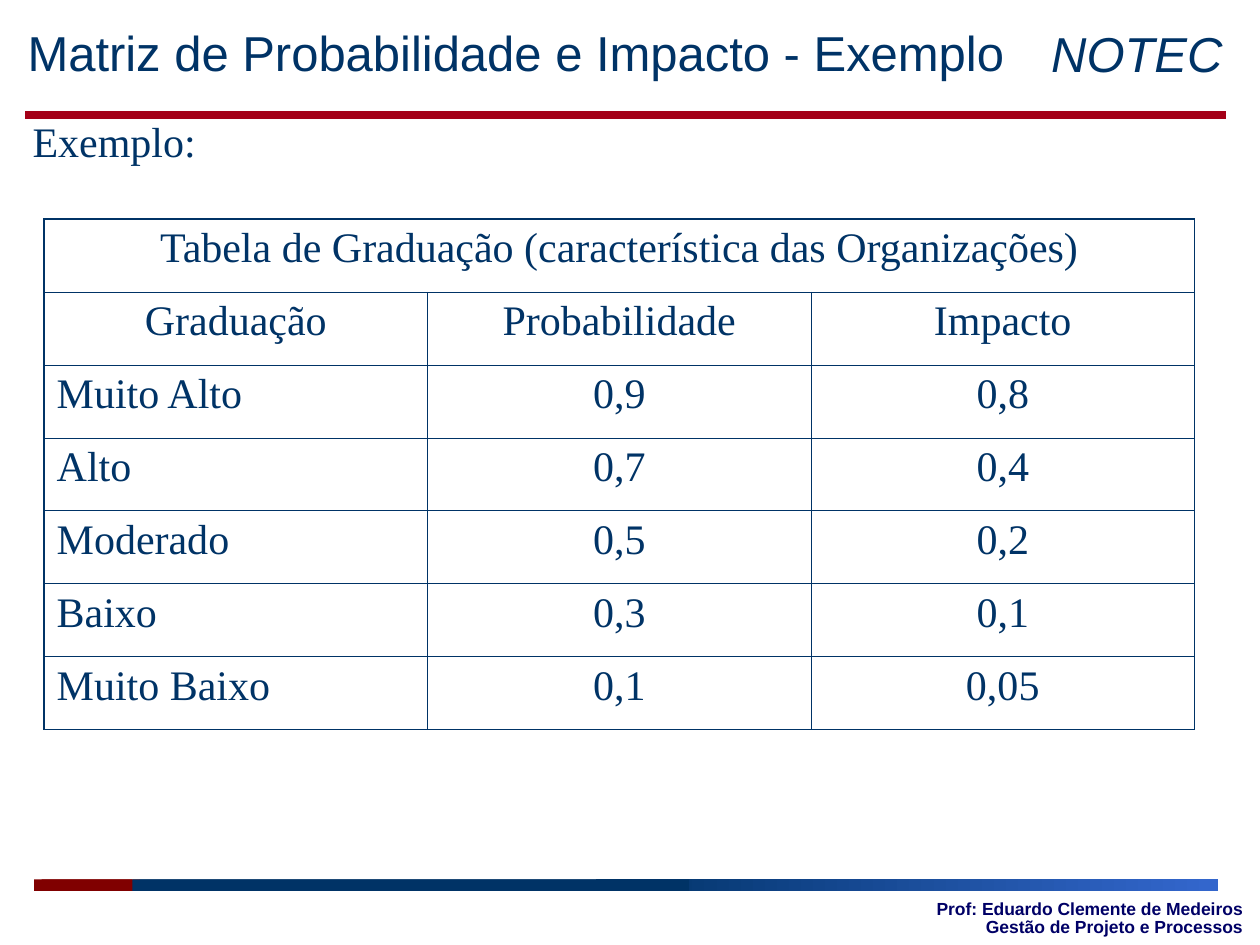
"""Build the probability and impact matrix slide."""
from dataclasses import dataclass

import lxml.etree
import pptx
import pptx.dml.color
import pptx.enum.shapes
import pptx.enum.text
import pptx.oxml.ns
import pptx.util

Inches = pptx.util.Inches
Pt = pptx.util.Pt
Align = pptx.enum.text.PP_ALIGN
Anchor = pptx.enum.text.MSO_ANCHOR
AutoSize = pptx.enum.text.MSO_AUTO_SIZE

COLOURS = {
    "navy": "003366",
    "blue": "3366CC",
    "maroon": "800000",
    "crimson": "A40018",
    "indigo": "000066",
}
SERIF = "Times New Roman"
SANS = "Arial"
OUTER_BORDER = 1.08
INNER_BORDER = 0.45
GRADES = [
    ("Tabela de Graduação (característica das Organizações)", "", ""),
    ("Graduação", "Probabilidade", "Impacto"),
    ("Muito Alto", "0,9", "0,8"),
    ("Alto", "0,7", "0,4"),
    ("Moderado", "0,5", "0,2"),
    ("Baixo", "0,3", "0,1"),
    ("Muito Baixo", "0,1", "0,05"),
]


@dataclass
class Style:
    size: float
    font: str = SANS
    colour: str = "navy"
    bold: bool = False
    italic: bool = False
    align: Align = Align.LEFT
    line_spacing: float = 1.0
    before: float = 0
    after: float = 0


@dataclass
class Label:
    text: str
    left: float
    top: float
    width: float
    height: float
    style: Style
    anchor: Anchor = Anchor.TOP
    autosize: AutoSize = AutoSize.SHAPE_TO_FIT_TEXT


@dataclass
class Bar:
    offset: float
    width: float
    colour: str
    end_colour: str = ""


LABELS = [
    Label("NOTEC", 7.91, 0.21, 1.89, 0.5,
          Style(28, italic=True, align=Align.RIGHT, line_spacing=0.85, before=17.5)),
    Label("Prof: Eduardo Clemente de Medeiros Gestão de Projeto e Processos",
          7.05, 7.14, 2.91, 0.31,
          Style(10, colour="indigo", bold=True, align=Align.RIGHT, line_spacing=0.85),
          Anchor.MIDDLE, AutoSize.NONE),
    Label("Exemplo:", 0.16, 0.91, 9.65, 0.46,
          Style(24, SERIF, align=Align.JUSTIFY, line_spacing=0.9, before=6, after=3)),
    Label("Matriz de Probabilidade e Impacto - Exemplo", 0.12, 0.13, 8.19, 0.57,
          Style(28, before=17.5)),
]
FOOTER_BARS = [
    Bar(0, 0.78, "maroon"),
    Bar(4.46, 4.88, "navy", "blue"),
    Bar(0.78, 4.42, "navy"),
]
FOOTER_LEFTS = (0.33, 0.27)


def rgb(name: str) -> pptx.dml.color.RGBColor:
    """Return the named colour."""
    return pptx.dml.color.RGBColor.from_string(COLOURS[name])


def write(frame, text: str, style: Style) -> None:
    """Put one styled paragraph in a text frame."""
    frame.text = text
    para = frame.paragraphs[0]
    para.alignment = style.align
    para.line_spacing = style.line_spacing
    para.space_before = Pt(style.before)
    para.space_after = Pt(style.after)
    for span in para.runs:
        span.font.size = Pt(style.size)
        span.font.name = style.font
        span.font.bold = style.bold
        span.font.italic = style.italic
        span.font.color.rgb = rgb(style.colour)


def draw_label(page, label: Label) -> None:
    """Draw a text box."""
    box = page.shapes.add_textbox(Inches(label.left), Inches(label.top),
                                  Inches(label.width), Inches(label.height))
    frame = box.text_frame
    frame.word_wrap = True
    frame.auto_size = label.autosize
    frame.vertical_anchor = label.anchor
    write(frame, label.text, label.style)


def draw_bar(page, bar: Bar, left: float) -> None:
    """Draw one segment of the footer strip."""
    shape = page.shapes.add_shape(pptx.enum.shapes.MSO_SHAPE.RECTANGLE,
                                  Inches(left + bar.offset), Inches(6.98),
                                  Inches(bar.width), Inches(0.09))
    shape.shadow.inherit = False
    shape.line.fill.background()
    if bar.end_colour:
        shape.fill.gradient()
        shape.fill.gradient_angle = 0
        for stop, name in zip(shape.fill.gradient_stops, (bar.colour, bar.end_colour)):
            stop.color.rgb = rgb(name)
    else:
        shape.fill.solid()
        shape.fill.fore_color.rgb = rgb(bar.colour)


def draw_rule(page) -> None:
    """Draw the line under the title."""
    rule = page.shapes.add_connector(pptx.enum.shapes.MSO_CONNECTOR.STRAIGHT,
                                     Inches(0.2), Inches(0.91), Inches(9.73), Inches(0.91))
    rule.line.color.rgb = rgb("crimson")
    rule.line.width = Pt(4.5)
    lxml.etree.SubElement(rule._element.spPr, pptx.oxml.ns.qn("a:effectLst"))


def set_borders(cell, outer_sides: dict[str, bool]) -> None:
    """Draw the cell edges, heavier on the outside of the table."""
    qn = pptx.oxml.ns.qn
    properties = cell._tc.get_or_add_tcPr()
    for index, (side, is_outer) in enumerate(outer_sides.items()):
        width = Pt(OUTER_BORDER if is_outer else INNER_BORDER)
        edge = lxml.etree.Element(qn(f"a:ln{side}"), w=str(width))
        fill = lxml.etree.SubElement(edge, qn("a:solidFill"))
        lxml.etree.SubElement(fill, qn("a:srgbClr"), val=COLOURS["navy"])
        properties.insert(index, edge)


def draw_grades(page) -> None:
    """Draw the table of grades."""
    last_row, last_column = len(GRADES) - 1, len(GRADES[0]) - 1
    table = page.shapes.add_table(len(GRADES), len(GRADES[0]), Inches(0.35), Inches(1.74),
                                  Inches(9.13), Inches(4.05)).table
    table.first_row = False
    table.horz_banding = False
    table.cell(0, 0).merge(table.cell(0, last_column))
    for row, values in enumerate(GRADES):
        for column, value in enumerate(values):
            cell = table.cell(row, column)
            cell.fill.background()
            if cell.is_spanned:
                continue
            is_grade = row > 1 and column == 0
            write(cell.text_frame, value,
                  Style(24, SERIF, align=Align.LEFT if is_grade else Align.CENTER, before=6))
            set_borders(cell, {
                "L": column == 0,
                "R": column == last_column or cell.is_merge_origin,
                "T": row == 0,
                "B": row == last_row,
            })


def main() -> None:
    """Create and save the deck."""
    deck = pptx.Presentation()
    deck.slide_width = Inches(10)
    deck.slide_height = Inches(7.5)
    page = deck.slides.add_slide(deck.slide_layouts[6])
    for left in FOOTER_LEFTS:
        for bar in FOOTER_BARS:
            draw_bar(page, bar, left)
    draw_rule(page)
    for label in LABELS:
        draw_label(page, label)
    draw_grades(page)
    deck.save("out.pptx")


if __name__ == "__main__":
    main()
